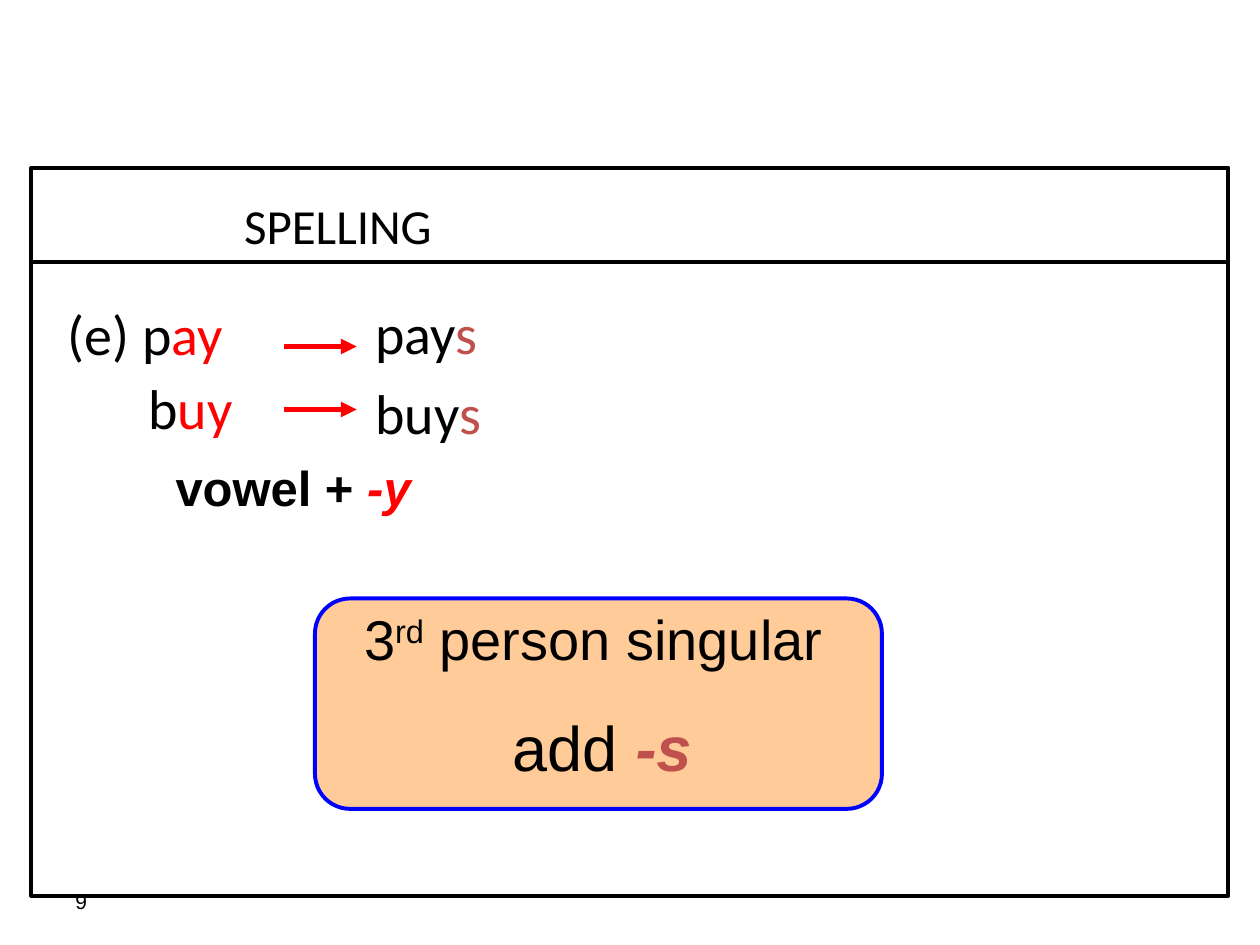
"""Build the spelling slide on third person singular verbs ending in vowel + y."""
from dataclasses import dataclass

from lxml.etree import SubElement
from pptx import Presentation
from pptx.dml.color import RGBColor
from pptx.enum.shapes import MSO_CONNECTOR, MSO_SHAPE
from pptx.enum.text import MSO_ANCHOR, MSO_AUTO_SIZE, PP_ALIGN
from pptx.oxml.ns import qn
from pptx.util import Inches, Pt


@dataclass(frozen=True)
class Theme:
    ink: str = "000000"
    stem: str = "FF0000"
    suffix: str = "C0504D"
    rule_fill: str = "FFCC99"
    rule_edge: str = "0000FF"
    body: str = "Calibri"
    note: str = "Arial"
    footer: int = 12
    heading: int = 28
    word: int = 32
    rule: int = 36
    tall: int = 40
    taller: int = 44
    edge: float = 2.25
    arrow: float = 3


class SlideBuilder:
    def __init__(self, slide, theme):
        self.slide = slide
        self.theme = theme

    def text(self, box, paragraphs, font, size, align=PP_ALIGN.LEFT, wrap=False,
             gap=0, anchor=MSO_ANCHOR.TOP, grow=True):
        frame = self.slide.shapes.add_textbox(*map(Inches, box)).text_frame
        frame.word_wrap = wrap
        frame.vertical_anchor = anchor
        frame.auto_size = MSO_AUTO_SIZE.SHAPE_TO_FIT_TEXT if grow else MSO_AUTO_SIZE.NONE
        for index, pieces in enumerate(paragraphs):
            paragraph = frame.add_paragraph() if index else frame.paragraphs[0]
            paragraph.alignment = align
            if index:
                paragraph.space_before = Pt(gap)
            for words, style in pieces:
                self.run(paragraph, words, **{"font": font, "size": size, **style})

    def run(self, paragraph, words, font, size, color=None, bold=False, italic=False, raised=0):
        run = paragraph.add_run()
        run.text = words
        run.font.name = font
        run.font.size = Pt(size)
        run.font.bold = bold
        run.font.italic = italic
        run.font.color.rgb = RGBColor.from_string(color or self.theme.ink)
        if raised:
            run._r.get_or_add_rPr().set("baseline", str(raised * 1000))

    def line(self, start, end, color, width, arrow=False):
        line = self.slide.shapes.add_connector(
            MSO_CONNECTOR.STRAIGHT, *map(Inches, (*start, *end)))
        line.line.color.rgb = RGBColor.from_string(color)
        line.line.width = Pt(width)
        if arrow:
            SubElement(line.line._get_or_add_ln(), qn("a:tailEnd"), type="triangle")
        SubElement(line._element.spPr, qn("a:effectLst"))

    def panel(self, kind, box, edge, fill=None):
        panel = self.slide.shapes.add_shape(kind, *map(Inches, box))
        panel.shadow.inherit = False
        panel.line.color.rgb = RGBColor.from_string(edge)
        panel.line.width = Pt(self.theme.edge)
        if fill:
            panel.fill.solid()
            panel.fill.fore_color.rgb = RGBColor.from_string(fill)
        else:
            panel.fill.background()


def main():
    theme = Theme()
    presentation = Presentation()
    presentation.slide_width = Inches(10)
    presentation.slide_height = Inches(7.5)
    builder = SlideBuilder(
        presentation.slides.add_slide(presentation.slide_layouts[6]), theme)
    stem = {"color": theme.stem}
    suffix = {"color": theme.suffix}

    builder.text((0.5, 6.95, 2.33, 0.4), [[("9", {})]], theme.note, theme.footer,
                 wrap=True, anchor=MSO_ANCHOR.MIDDLE, grow=False)
    builder.text((1.62, 1.5, 2.21, 0.57), [[("SPELLING ", {})]], theme.body,
                 theme.heading, align=PP_ALIGN.CENTER)
    builder.line((0.25, 2.08), (9.75, 2.08), theme.ink, theme.edge)

    verbs = [
        ((0.44, 2.33, 1.63, 0.63), [("(e) p", {}), ("ay", stem)]),
        ((2.78, 2.32, 1.34, 0.63), [(" pay", {}), ("s", suffix)]),
        ((1.08, 2.75, 1.16, 0.83), [("b", {}), ("uy", stem), (" ", {"size": theme.taller})]),
        ((2.78, 2.84, 1.51, 0.77), [(" buy", {}), ("s", suffix), (" ", {"size": theme.tall})]),
    ]
    for box, pieces in verbs:
        builder.text(box, [pieces], theme.body, theme.word)
    for height in (3.25, 2.75):
        builder.line((2.25, height), (2.83, height), theme.stem, theme.arrow, arrow=True)

    builder.panel(MSO_SHAPE.ROUNDED_RECTANGLE, (2.5, 4.75, 4.5, 1.67),
                  theme.rule_edge, theme.rule_fill)
    rule = [
        [("3", {}), ("rd", {"raised": 30}), (" person singular", {})],
        [(" add ", {"size": theme.rule}),
         ("-s", {**suffix, "size": theme.rule, "bold": True, "italic": True})],
    ]
    builder.text((2, 4.75, 5.42, 1.53), rule, theme.note, theme.word,
                 align=PP_ALIGN.CENTER, wrap=True, gap=21)
    ending = [("vowel + ", {"bold": True}), ("-y ", {**stem, "bold": True, "italic": True})]
    builder.text((0.67, 3.58, 3.42, 0.57), [ending], theme.note, theme.heading,
                 align=PP_ALIGN.CENTER, wrap=True)
    builder.panel(MSO_SHAPE.RECTANGLE, (0.25, 1.33, 9.5, 5.78), theme.ink)
    presentation.save("out.pptx")


if __name__ == "__main__":
    main()
